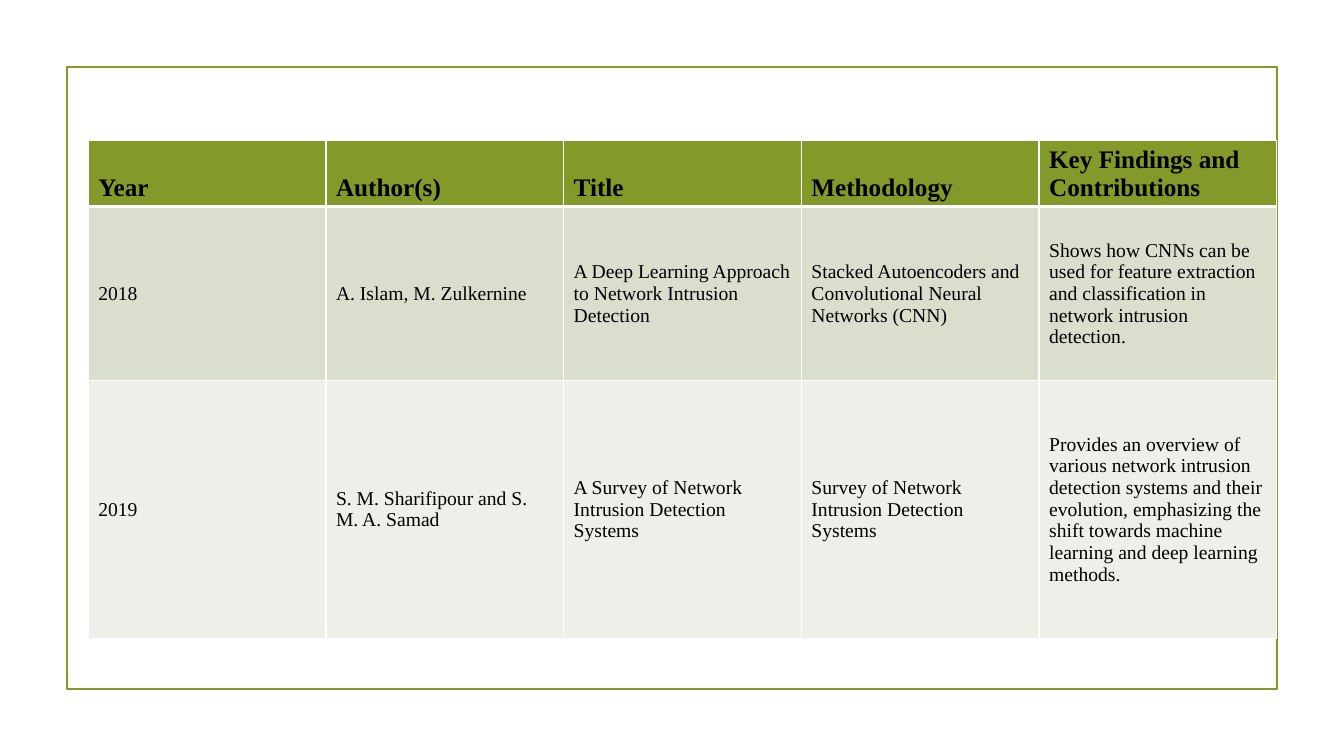
from typing import NamedTuple

from lxml.etree import SubElement
from pptx import Presentation
from pptx.dml.color import RGBColor
from pptx.enum.shapes import MSO_SHAPE
from pptx.enum.text import MSO_ANCHOR
from pptx.oxml.ns import qn
from pptx.util import Emu, Pt

EMU_PER_PX = 9525
FONT = "Times New Roman"
GREEN = RGBColor(0x83, 0x99, 0x2A)
SAGE = RGBColor(0xD9, 0xDE, 0xCD)
PALE = RGBColor(0xED, 0xEF, 0xE8)
BLACK = RGBColor(0, 0, 0)
WHITE = RGBColor(0xFF, 0xFF, 0xFF)


class TableRow(NamedTuple):
    texts: tuple[str, ...]
    height: int
    fill: RGBColor
    size: int = 14
    bold: bool = False
    anchor: MSO_ANCHOR = MSO_ANCHOR.MIDDLE
    top: int = 1
    bottom: int = 1


ROWS = (
    TableRow(
        ("Year", "Author(s)", "Title", "Methodology", "Key Findings and Contributions"),
        61, GREEN, size=18, bold=True, anchor=MSO_ANCHOR.BOTTOM, bottom=3,
    ),
    TableRow(
        (
            "2018",
            "A. Islam, M. Zulkernine",
            "A Deep Learning Approach to Network Intrusion Detection",
            "Stacked Autoencoders and Convolutional Neural Networks (CNN)",
            "Shows how CNNs can be used for feature extraction and classification "
            "in network intrusion detection.",
        ),
        166, SAGE, top=3,
    ),
    TableRow(
        (
            "2019",
            "S. M. Sharifipour and S. M. A. Samad",
            "A Survey of Network Intrusion Detection Systems",
            "Survey of Network Intrusion Detection Systems",
            "Provides an overview of various network intrusion detection systems and "
            "their evolution, emphasizing the shift towards machine learning and deep "
            "learning methods.",
        ),
        245, PALE,
    ),
)


def px(n: int) -> Emu:
    return Emu(n * EMU_PER_PX)


def add_frame(s, left: int, top: int, width: int, height: int) -> None:
    frame = s.shapes.add_shape(
        MSO_SHAPE.RECTANGLE, px(left), px(top), px(width), px(height)
    )
    frame.shadow.inherit = False
    frame.fill.background()
    frame.line.color.rgb = GREEN
    frame.line.width = Pt(1.25)


def set_borders(cell, **widths: int) -> None:
    """Draw white cell edges; widths are in points, keyed L, R, T, B."""
    tc_pr = cell._tc.get_or_add_tcPr()
    for side, width in widths.items():
        ln = SubElement(tc_pr, qn(f"a:ln{side}"), w=str(Pt(width)))
        fill = SubElement(ln, qn("a:solidFill"))
        SubElement(fill, qn("a:srgbClr"), val=str(WHITE))


def fill_cell(cell, text: str, row: TableRow) -> None:
    set_borders(cell, L=1, R=1, T=row.top, B=row.bottom)
    cell.fill.solid()
    cell.fill.fore_color.rgb = row.fill
    cell.vertical_anchor = row.anchor
    r = cell.text_frame.paragraphs[0].add_run()
    r.text = text
    r.font.name = FONT
    r.font.size = Pt(row.size)
    r.font.bold = row.bold
    r.font.color.rgb = BLACK


def add_survey_table(s, left: int, top: int, width: int) -> None:
    height = sum(row.height for row in ROWS)
    table = s.shapes.add_table(
        len(ROWS), len(ROWS[0].texts), px(left), px(top), px(width), px(height)
    ).table
    table.first_row = True
    table.horz_banding = False
    for i, row in enumerate(ROWS):
        table.rows[i].height = px(row.height)
        for j, text in enumerate(row.texts):
            fill_cell(table.cell(i, j), text, row)


def main() -> None:
    prs = Presentation()
    prs.slide_width, prs.slide_height = px(1280), px(720)
    s = prs.slides.add_slide(prs.slide_layouts[6])
    add_frame(s, 64, 64, 1152, 592)
    add_survey_table(s, 84, 134, 1132)
    prs.save("out.pptx")


if __name__ == "__main__":
    main()
